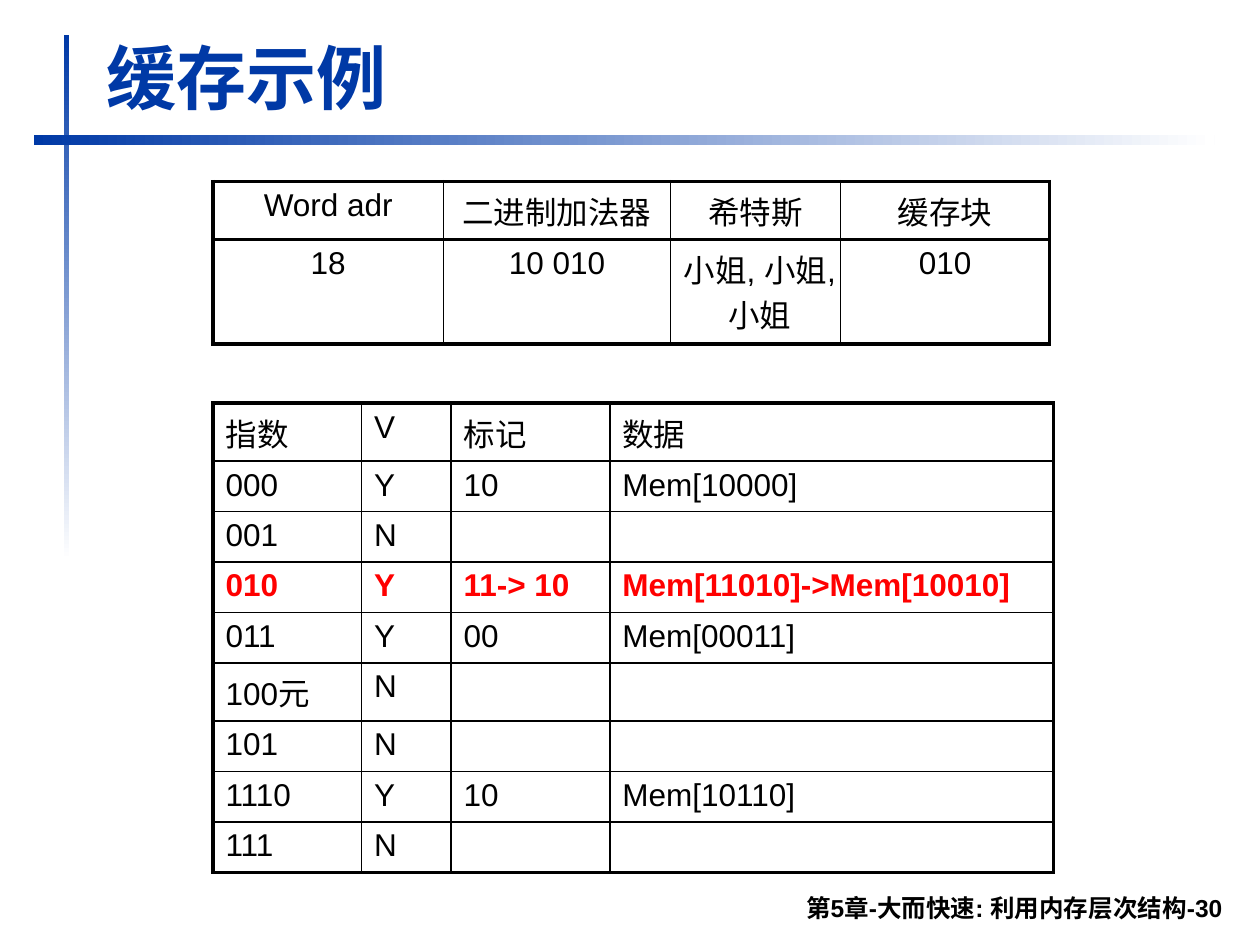
from dataclasses import dataclass

from lxml.etree import SubElement
from pptx import Presentation
from pptx.dml.color import RGBColor
from pptx.enum.lang import MSO_LANGUAGE_ID
from pptx.enum.shapes import MSO_SHAPE
from pptx.enum.text import MSO_ANCHOR, MSO_AUTO_SIZE, PP_ALIGN
from pptx.oxml import parse_xml
from pptx.oxml.ns import nsdecls, qn
from pptx.util import Pt

PX = 9144  # 100 px to the inch


@dataclass(frozen=True)
class Theme:
    font: str = "Arial"
    blue: str = "0039A6"
    black: str = "000000"
    white: str = "FFFFFF"
    red: str = "FF0000"
    title: int = 40
    body: int = 18
    footer: int = 14
    outer: float = 2.25
    header: float = 1.5
    inner: float = 1


T = Theme()

# Row heights in px: Latin text, one line of Chinese, two lines of Chinese
LATIN, CHINESE, CHINESE_2 = 40, 46, 83

ADDRESS_ROWS = [
    (CHINESE, ["Word adr", "二进制加法器", "希特斯", "缓存块"]),
    (CHINESE_2, ["18", "10 010", "小姐, 小姐, 小姐", "010"]),
]
CACHE_ROWS = [
    (CHINESE, ["指数", "V", "标记", "数据"]),
    (LATIN, ["000", "Y", "10", "Mem[10000]"]),
    (LATIN, ["001", "N", "", ""]),
    (LATIN, ["010", "Y", "11-> 10", "Mem[11010]->Mem[10010]"]),
    (LATIN, ["011", "Y", "00", "Mem[00011]"]),
    (CHINESE, ["100元", "N", "", ""]),
    (LATIN, ["101", "N", "", ""]),
    (LATIN, ["1110", "Y", "10", "Mem[10110]"]),
    (LATIN, ["111", "N", "", ""]),
]
UPDATED_ROW = 3


def emu(*lengths):
    return [n * PX for n in lengths]


def write(tf, text, size=T.body, color=T.black, bold=False, align=PP_ALIGN.LEFT):
    p = tf.paragraphs[0]
    p.alignment = align
    p.font.size = Pt(size)
    if not text:
        return p
    r = p.add_run()
    r.text = text
    r.font.name = T.font
    r.font.size = Pt(size)
    r.font.bold = bold
    r.font.color.rgb = RGBColor.from_string(color)
    r.font.language_id = MSO_LANGUAGE_ID.SIMPLIFIED_CHINESE
    return p


def text_box(s, box, text, grow=False, **fmt):
    tf = s.shapes.add_textbox(*emu(*box)).text_frame
    tf.word_wrap = True
    tf.vertical_anchor = MSO_ANCHOR.BOTTOM
    tf.auto_size = MSO_AUTO_SIZE.SHAPE_TO_FIT_TEXT if grow else MSO_AUTO_SIZE.NONE
    write(tf, text, **fmt)


def fading_bar(s, box, angle):
    """Bar from blue to white; the angle runs counter-clockwise."""
    sp = s.shapes.add_shape(MSO_SHAPE.RECTANGLE, *emu(*box))
    sp.shadow.inherit = False
    sp.line.fill.background()
    sp.fill.gradient()
    sp.fill.gradient_angle = angle
    for stop, color in zip(sp.fill.gradient_stops, (T.blue, T.white)):
        stop.color.rgb = RGBColor.from_string(color)


def heading(s, box, text):
    x, y, w, h = box
    fading_bar(s, (x + 24, y, 4, 417), 270)
    fading_bar(s, (x, y + 79, w, 8), 0)
    text_box(s, (x + 48, y - 6, 903, h), text, grow=True,
             size=T.title, color=T.blue, bold=True)


def set_borders(cell, widths):
    """Widths in points for left, right, top and bottom."""
    tcPr = cell._tc.get_or_add_tcPr()
    for i, (side, width) in enumerate(zip("LRTB", widths)):
        tcPr.insert(i, parse_xml(
            f'<a:ln{side} {nsdecls("a")} w="{Pt(width)}"><a:solidFill>'
            f'<a:srgbClr val="{T.black}"/></a:solidFill></a:ln{side}>'))


def ruled_table(s, origin, rows, col_widths, align=PP_ALIGN.LEFT, updated=None):
    """Table with a thick frame, a header rule and thin inner lines."""
    n_rows, n_cols = len(rows), len(col_widths)
    height = sum(row_h for row_h, _ in rows)
    tbl = s.shapes.add_table(n_rows, n_cols, *emu(
        *origin, sum(col_widths), height)).table
    tbl.first_row = tbl.horz_banding = False
    for col, width in zip(tbl.columns, col_widths):
        col.width = width * PX
    h_rules = [T.outer, T.header] + [T.inner] * (n_rows - 2) + [T.outer]
    v_rules = [T.outer] + [T.inner] * (n_cols - 1) + [T.outer]
    for i, (row_h, texts) in enumerate(rows):
        tbl.rows[i].height = row_h * PX
        hot = i == updated
        for j, text in enumerate(texts):
            cell = tbl.cell(i, j)
            cell.fill.background()
            set_borders(cell, v_rules[j:j + 2] + h_rules[i:i + 2])
            p = write(cell.text_frame, text, align=align, bold=hot,
                      color=T.red if hot else T.black)
            pPr = p._p.get_or_add_pPr()
            space = SubElement(pPr, qn("a:spcBef"))
            SubElement(space, qn("a:spcPct")).set("val", "20000")
            pPr.insert(0, space)


def main():
    prs = Presentation()
    prs.slide_width, prs.slide_height = emu(1000, 750)
    s = prs.slides.add_slide(prs.slide_layouts[6])
    heading(s, (27, 28, 937, 77), "缓存示例")
    text_box(s, (185, 698, 795, 39), "第5章-大而快速: 利用内存层次结构-30",
             size=T.footer, bold=True, align=PP_ALIGN.RIGHT)
    ruled_table(s, (169, 320), CACHE_ROWS, (118, 71, 126, 352),
                updated=UPDATED_ROW)
    ruled_table(s, (169, 144), ADDRESS_ROWS, (183, 180, 135, 166),
                align=PP_ALIGN.CENTER)
    prs.save("out.pptx")


if __name__ == "__main__":
    main()
